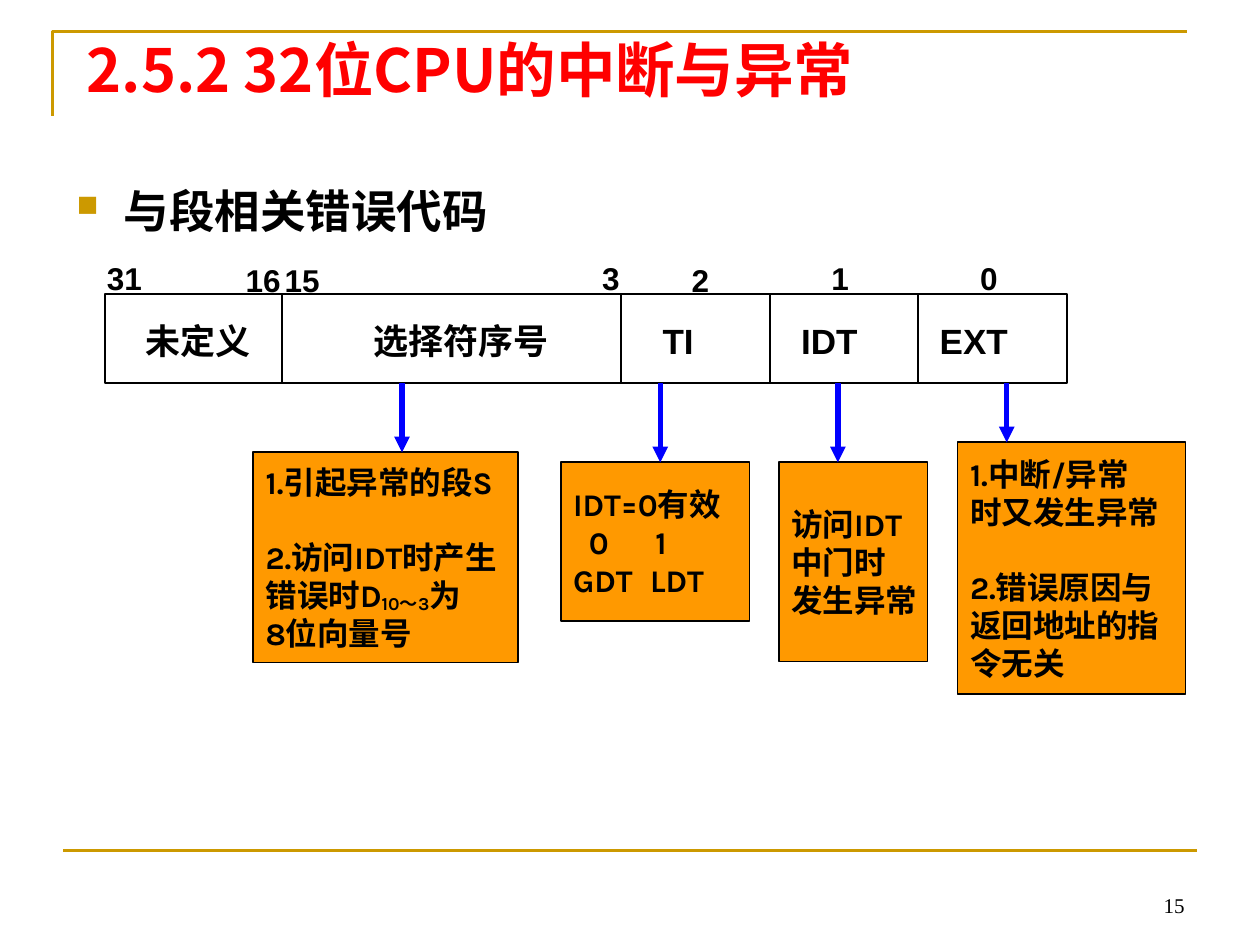
from lxml.etree import SubElement
from pptx import Presentation
from pptx.dml.color import RGBColor
from pptx.enum.shapes import MSO_CONNECTOR, MSO_SHAPE
from pptx.enum.text import MSO_ANCHOR, PP_ALIGN
from pptx.oxml.ns import qn
from pptx.util import Pt

HUES = {"gold": "CC9900", "box": "FF9900", "ink": "000000",
        "title": "FF0000", "arrow": "0000FF"}
CJK = "Noto Sans CJK SC"
tint = {name: RGBColor.from_string(code) for name, code in HUES.items()}

deck = Presentation()
deck.slide_width, deck.slide_height = Pt(720), Pt(540)
slide = deck.slides.add_slide(deck.slide_layouts[6])
shapes = slide.shapes


def style(para, text, size, face="Arial", hue="ink", bold=True):
    """Fill a paragraph; text between bars is set as subscript."""
    for i, part in enumerate(text.split("|")):
        run = para.add_run()
        run.text = part
        if i % 2:
            run._r.get_or_add_rPr().set("baseline", "-10000")
    font = para.font
    font.size, font.name, font.bold = Pt(size), face, bold
    font.color.rgb = tint[hue]
    SubElement(font._element, qn("a:ea"), typeface=CJK)


def line(x1, y1, x2, y2, hue, width):
    wire = shapes.add_connector(MSO_CONNECTOR.STRAIGHT,
                                Pt(x1), Pt(y1), Pt(x2), Pt(y2))
    wire.line.color.rgb, wire.line.width = tint[hue], Pt(width)
    SubElement(wire._element.spPr, qn("a:effectLst"))
    return wire


# Gold frame
path = shapes.build_freeform(Pt(30.2), Pt(66.2))
path.add_line_segments([(Pt(30.2), Pt(18)), (Pt(678.2), Pt(18))], close=False)
frame = path.convert_to_shape()
frame.shadow.inherit = False
frame.fill.background()
frame.line.color.rgb, frame.line.width = tint["gold"], Pt(1.5)
line(36, 486, 684, 486, "gold", 1.5)

# Boxes with notes: left, top, width, height, lines (text, space before, tabs)
NOTES = [
    (547.2, 252.8, 163.1 - 32.8, 144, [
        ("1.中断/异常", 0, []), ("时又发生异常", 0, []),
        ("2.错误原因与", 21.6, []), ("返回地址的指", 0, []), ("令无关", 0, [])]),
    (445, 264.2, 85, 113.8, [
        ("访问IDT", 0, []), ("中门时", 0, []), ("发生异常", 0, [])]),
    (144.7, 258.5, 151.2, 120.2, [
        ("1.引起异常的段S", 0, []), ("2.访问IDT时产生", 21.6, []),
        ("错误时D|10～3|为", 0, []), ("8位向量号", 0, [])]),
    (320.4, 264.2, 108, 90.7, [
        ("IDT=0有效", 0, []), ("\t0\t1", 0, [9, 47]), ("GDT\tLDT", 0, [44])]),
]
for x, y, w, h, rows in NOTES:
    box = shapes.add_shape(MSO_SHAPE.RECTANGLE, Pt(x), Pt(y), Pt(w), Pt(h))
    box.shadow.inherit = False
    box.fill.solid()
    box.fill.fore_color.rgb = tint["box"]
    box.line.color.rgb, box.line.width = tint["ink"], Pt(1)
    frame = box.text_frame
    frame.word_wrap, frame.vertical_anchor = False, MSO_ANCHOR.MIDDLE
    for i, (text, gap, tabs) in enumerate(rows):
        para = frame.add_paragraph() if i else frame.paragraphs[0]
        para.alignment = PP_ALIGN.LEFT
        if gap:
            para.space_before = Pt(gap)
        if tabs:
            stops = SubElement(para._p.get_or_add_pPr(), qn("a:tabLst"))
            for stop in tabs:
                SubElement(stops, qn("a:tab"), pos=str(Pt(stop)), algn="l")
        style(para, text, 18, "Karla")

# Register bar and its dividers
LEFT, TOP, WIDE, HIGH, CELL = 59.8, 168, 550, 51, 85
FOOT, END = TOP + HIGH, LEFT + WIDE
bar = shapes.add_shape(MSO_SHAPE.RECTANGLE, Pt(LEFT), Pt(TOP), Pt(WIDE), Pt(HIGH))
bar.shadow.inherit = False
bar.fill.background()
bar.line.color.rgb, bar.line.width = tint["ink"], Pt(1)
for x in [161.3] + [END - n * CELL for n in (3, 2, 1)]:
    line(x, TOP, x, FOOT, "ink", 1)

# Plain text: left, top, width, height, text, size, face, hue, bold, align
L, C, R = PP_ALIGN.LEFT, PP_ALIGN.CENTER, PP_ALIGN.RIGHT
TEXTS = [
    (42.5, 15.1, 635.8, 66.2, "2.5.2 32位CPU的中断与异常", 34, CJK, "title", True, L),
    (516.2, 491.8, 167.8, 36, "15", 12, "Times New Roman", "ink", False, R),
]
FIELDS = [(76.3, 79.2, "未定义", L), (178.6, 169.9, "选择符序号", C),
          (371.5, 39.6, "TI", L), (450.7, 62.6, "IDT", L), (529.9, 62.6, "EXT", L)]
TEXTS += [(x, 179.3, w, 31.7, text, 20, "Arial", "ink", True, side)
          for x, w, text, side in FIELDS]
BITS = [(54, 144.7, "31"), (133.2, 145.4, "16"), (155.5, 145.4, "15"),
        (337, 144.7, "3"), (388.1, 145.4, "2"), (468, 144.7, "1"), (553, 144.7, "0")]
TEXTS += [(x, y, 39.6 if len(bit) > 1 else 28.1, 28.8, bit, 18, "Arial", "ink", True, L)
          for x, y, bit in BITS]
for x, y, w, h, text, size, face, hue, bold, side in TEXTS:
    frame = shapes.add_textbox(Pt(x), Pt(y), Pt(w), Pt(h)).text_frame
    frame.word_wrap = True
    frame.vertical_anchor = MSO_ANCHOR.BOTTOM if side == R else MSO_ANCHOR.TOP
    frame.paragraphs[0].alignment = side
    style(frame.paragraphs[0], text, size, face, hue, bold)

# Bulleted heading
frame = shapes.add_textbox(Pt(36.7), Pt(100.8), Pt(648), Pt(44.6)).text_frame
frame.word_wrap = True
para = frame.paragraphs[0]
props = para._p.get_or_add_pPr()
props.set("marL", str(Pt(27)))
props.set("indent", str(Pt(-27)))
SubElement(SubElement(props, qn("a:buClr")), qn("a:srgbClr"), val=HUES["gold"])
SubElement(props, qn("a:buSzPct"), val="65000")
SubElement(props, qn("a:buChar"), char="■")
style(para, "与段相关错误代码", 26)

# Arrows from the bar to the boxes
for x, y in [(575.3, 252.8), (478.8, 264.2), (377.3, 264.2), (229.7, 258.5)]:
    arrow = line(x, FOOT, x, y, "arrow", 3)
    SubElement(arrow.line._get_or_add_ln(), qn("a:tailEnd"), type="triangle")

deck.save("out.pptx")
